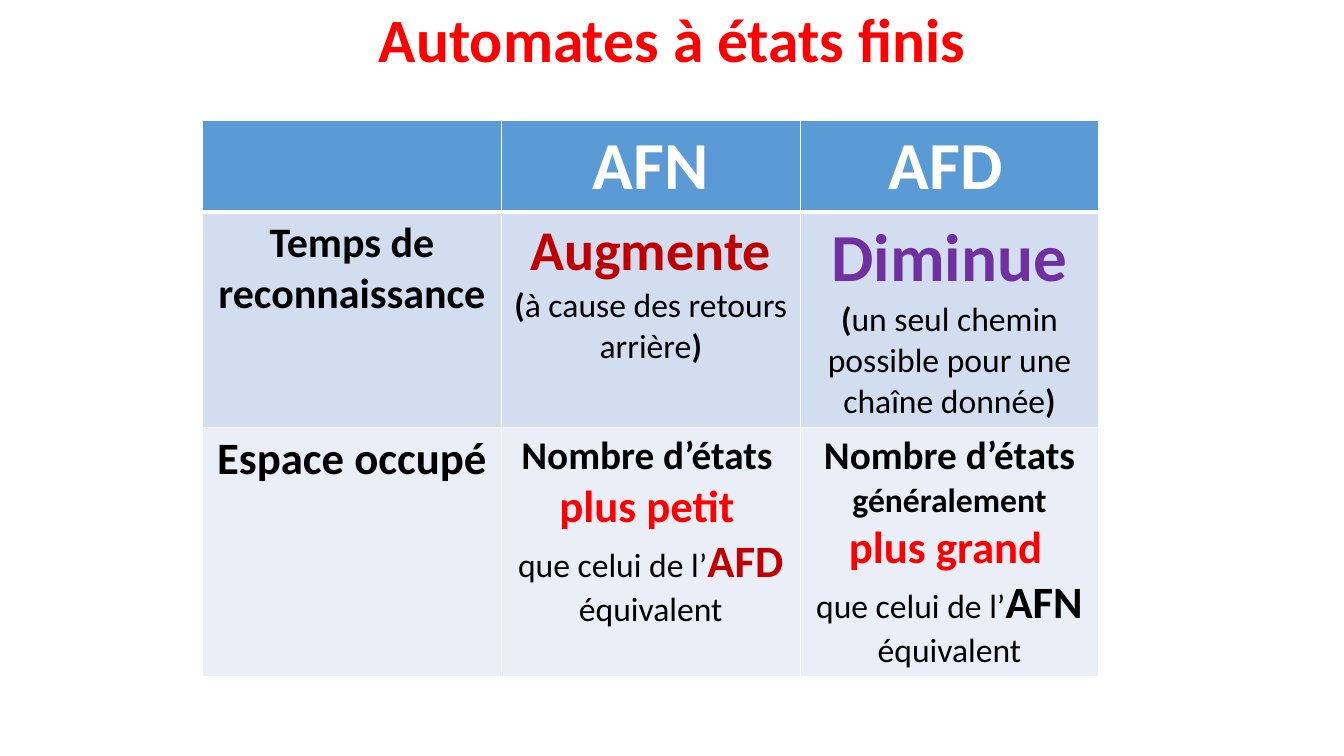
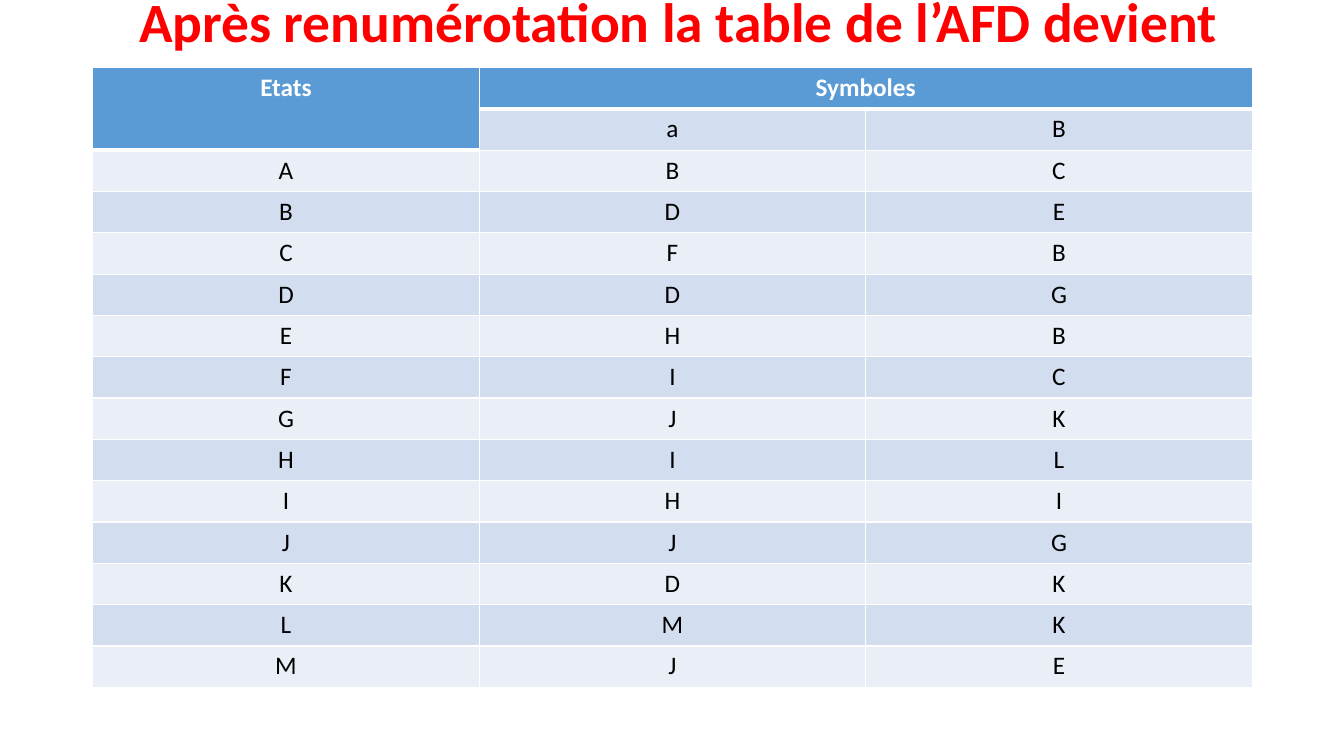
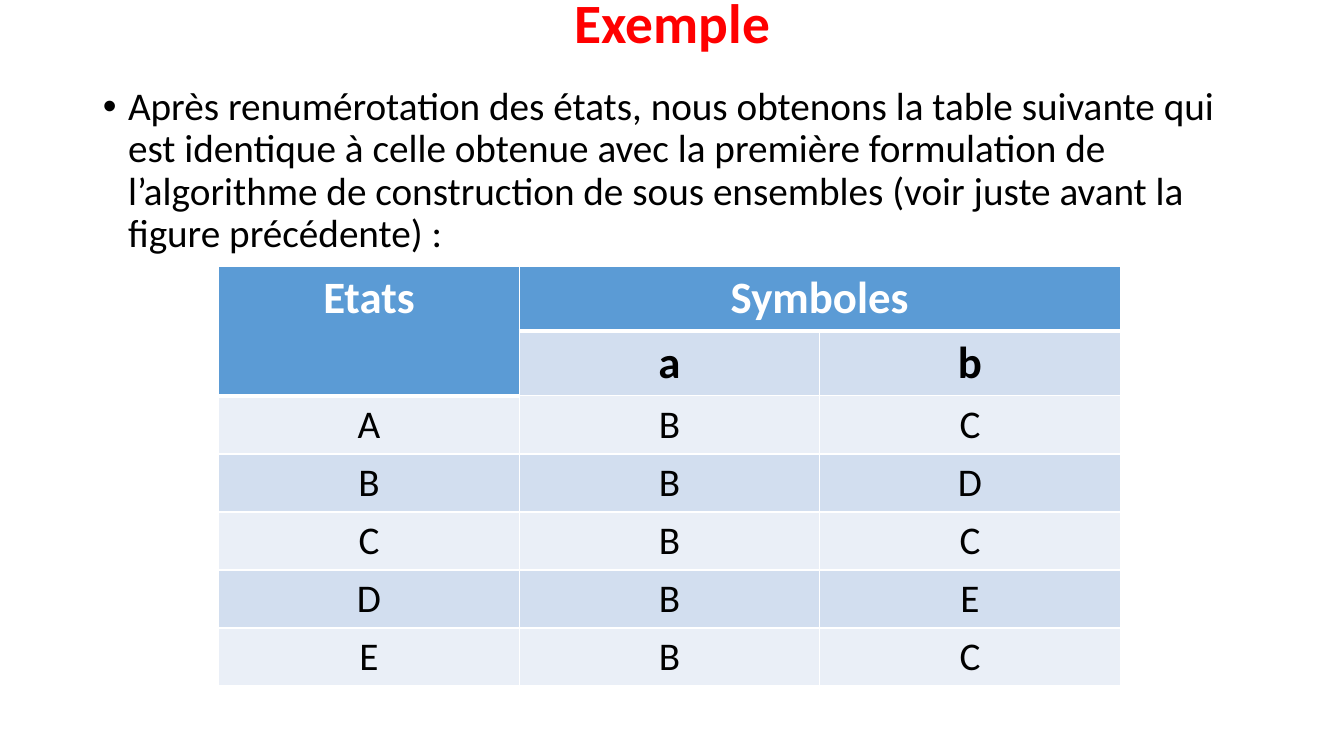
from dataclasses import dataclass

from lxml import etree
from pptx import Presentation
from pptx.dml.color import RGBColor
from pptx.enum.text import MSO_ANCHOR, MSO_AUTO_SIZE, PP_ALIGN
from pptx.oxml.ns import qn
from pptx.util import Inches, Pt

CENTER = PP_ALIGN.CENTER
LEFT = PP_ALIGN.LEFT
MIDDLE = MSO_ANCHOR.MIDDLE
TOP = MSO_ANCHOR.TOP
NO_AUTOFIT = MSO_AUTO_SIZE.NONE
TITLE_AND_CONTENT = 1
TITLE_ONLY = 5


@dataclass(frozen=True)
class Theme:
    font: str = "Calibri"
    black: str = "000000"
    white: str = "FFFFFF"
    red: str = "FF0000"
    dark_red: str = "C00000"
    purple: str = "7030A0"
    header: str = "5B9BD5"
    odd_band: str = "D2DEEF"
    even_band: str = "EAEFF7"
    title: float = 39.6
    main_title: float = 44
    huge: float = 48
    large: float = 40
    strong: float = 32
    label: float = 30
    body: float = 28
    note: float = 24
    small: float = 18
    thin_border: float = 1
    thick_border: float = 3


THEME = Theme()


def add_span(para, text, size=THEME.note, color=THEME.black, bold=False):
    span = para.add_run()
    span.text = text
    font = span.font
    font.name = THEME.font
    font.size = Pt(size)
    font.bold = bold
    font.color.rgb = RGBColor.from_string(color)


def strong(text, size=THEME.note, color=THEME.black):
    """Describe a bold span as its text and format."""
    return text, {"size": size, "color": color, "bold": True}


def plain(text, size=THEME.note):
    """Describe a regular black span as its text and format."""
    return text, {"size": size}


def place(shape, left, top, width, height):
    shape.left, shape.top = Inches(left), Inches(top)
    shape.width, shape.height = Inches(width), Inches(height)


def fill_placeholder(placeholder, text, box, align, anchor, **style):
    """Move a placeholder to box and write its only paragraph."""
    place(placeholder, *box)
    frame = placeholder.text_frame
    frame.word_wrap = True
    frame.auto_size = NO_AUTOFIT
    frame.vertical_anchor = anchor
    para = frame.paragraphs[0]
    para.alignment = align
    para.line_spacing = 0.9
    add_span(para, text, **style)
    return para


def add_titled_slide(deck, layout, title, box, size=THEME.title):
    slide = deck.slides.add_slide(deck.slide_layouts[layout])
    para = fill_placeholder(slide.shapes.title, title, box, CENTER, MIDDLE,
                            size=size, color=THEME.red, bold=True)
    para.space_before = Pt(0)
    return slide


def add_bullet(slide, text, box):
    para = fill_placeholder(slide.placeholders[1], text, box, LEFT, TOP,
                            size=THEME.body)
    para.space_before = Pt(10)
    properties = para._p.get_or_add_pPr()
    properties.set("marL", str(Inches(0.25)))
    properties.set("indent", str(-Inches(0.25)))
    etree.SubElement(properties, qn("a:buChar")).set("char", "•")


def add_border(cell, side, width):
    properties = cell._tc.get_or_add_tcPr()
    line = etree.SubElement(properties, qn(f"a:ln{side}"), w=str(Pt(width)))
    fill = etree.SubElement(line, qn("a:solidFill"))
    etree.SubElement(fill, qn("a:srgbClr"), val=THEME.white)


def style_cell(cell, color, is_header):
    for side in "LRTB" if is_header else "LRB":
        is_thick = is_header and side == "B"
        add_border(cell, side,
                   THEME.thick_border if is_thick else THEME.thin_border)
    cell.fill.solid()
    cell.fill.fore_color.rgb = RGBColor.from_string(color)


def write_cell(cell, paragraphs):
    frame = cell.text_frame
    for index, spans in enumerate(paragraphs):
        para = frame.add_paragraph() if index else frame.paragraphs[0]
        para.alignment = CENTER
        for text, style in spans:
            add_span(para, text, **style)


def add_banded_table(slide, left, top, width, heights, rows,
                     tall_header=False):
    """Add equal columns; tall_header also colours the cell under the first."""
    columns = len(rows[0])
    table = slide.shapes.add_table(
        len(rows), columns, Inches(left), Inches(top),
        Inches(width), Inches(sum(heights))).table
    for row, height in zip(table.rows, heights):
        row.height = Inches(height)
    for row_index, row in enumerate(rows):
        band = THEME.odd_band if row_index % 2 else THEME.even_band
        for column, paragraphs in enumerate(row):
            cell = table.cell(row_index, column)
            is_header = row_index == 0 or (
                tall_header and row_index == 1 and column == 0)
            style_cell(cell, THEME.header if is_header else band, is_header)
            write_cell(cell, paragraphs)
    return table


def add_transition_table(slide, left, top, width, symbols, transitions,
                         header_height, row_height, header_size, row_size,
                         bold_symbols):
    """Add a table of states; each transition lists a state and its targets."""
    def header(text):
        return [[strong(text, header_size, THEME.white)]]

    symbol_span = strong if bold_symbols else plain
    rows = [[header("Etats"), header("Symboles"), []],
            [[]] + [[[symbol_span(symbol, header_size)]]
                    for symbol in symbols]]
    rows += [[[[plain(state, row_size)]] for state in transition]
             for transition in transitions]
    heights = [header_height] * 2 + [row_height] * len(transitions)
    table = add_banded_table(slide, left, top, width, heights, rows,
                             tall_header=True)
    table.cell(0, 0).merge(table.cell(1, 0))
    table.cell(0, 1).merge(table.cell(0, 2))


def build_comparison(deck):
    slide = add_titled_slide(deck, TITLE_ONLY, "Automates à états finis",
                             (0.92, 0, 11.5, 0.85), THEME.main_title)
    state_count = strong("Nombre d’états", THEME.body)
    than = plain("que celui de l’")
    equivalent = plain(" équivalent")
    space = strong(" ")
    rows = [
        [[],
         [[strong("AFN", THEME.huge, THEME.white)]],
         [[strong("AFD", THEME.huge, THEME.white),
           strong(" ", color=THEME.white)]]],
        [[[strong("Temps de reconnaissance", THEME.label)]],
         [[strong("Augmente ", THEME.large, THEME.dark_red), strong("("),
           plain("à cause des retours arrière"), strong(")")]],
         [[strong("Diminue", THEME.huge, THEME.purple), strong(" ("),
           plain("un seul chemin possible pour une chaîne donnée"),
           strong(")")]]],
        [[[strong("Espace occupé", THEME.strong)]],
         [[state_count, space],
          [strong("plus petit", THEME.strong, THEME.red), space],
          [than, strong("AFD", THEME.strong, THEME.dark_red), equivalent]],
         [[state_count, strong(" généralement "),
           strong("plus grand", THEME.strong, THEME.red), space],
          [than, strong("AFN", THEME.strong), equivalent]]],
    ]
    add_banded_table(slide, 2.01, 1.19, 8.89, [0.9, 2.09, 2.42], rows)


def build_renumbered(deck):
    slide = add_titled_slide(
        deck, TITLE_ONLY, "Après renumérotation la table de l’AFD devient ",
        (0.67, 0, 12.24, 0.48))
    transitions = ("ABC BDE CFB DDG EHB FIC GJK HIL IHI JJG KDK LMK "
                   "MJE").split()
    add_transition_table(slide, 0.92, 0.67, 11.5, "aB", transitions,
                         header_height=0.41, row_height=0.41,
                         header_size=THEME.small, row_size=THEME.small,
                         bold_symbols=False)


def build_example(deck):
    slide = add_titled_slide(deck, TITLE_AND_CONTENT, "Exemple",
                             (0.92, 0, 11.5, 0.51))
    add_bullet(
        slide,
        "Après renumérotation des états, nous obtenons la table suivante qui "
        "est identique à celle obtenue avec la première formulation de "
        "l’algorithme de construction de sous ensembles (voir juste avant la "
        "figure précédente) :",
        (0.92, 0.81, 11.5, 6.41))
    add_transition_table(slide, 2.17, 2.64, 8.94, "ab",
                         "ABC BBD CBC DBE EBC".split(),
                         header_height=0.64, row_height=0.57,
                         header_size=THEME.strong, row_size=THEME.body,
                         bold_symbols=True)


def main():
    deck = Presentation()
    deck.slide_width, deck.slide_height = Inches(13.33), Inches(7.5)
    build_comparison(deck)
    build_renumbered(deck)
    build_example(deck)
    deck.save("out.pptx")


if __name__ == "__main__":
    main()
